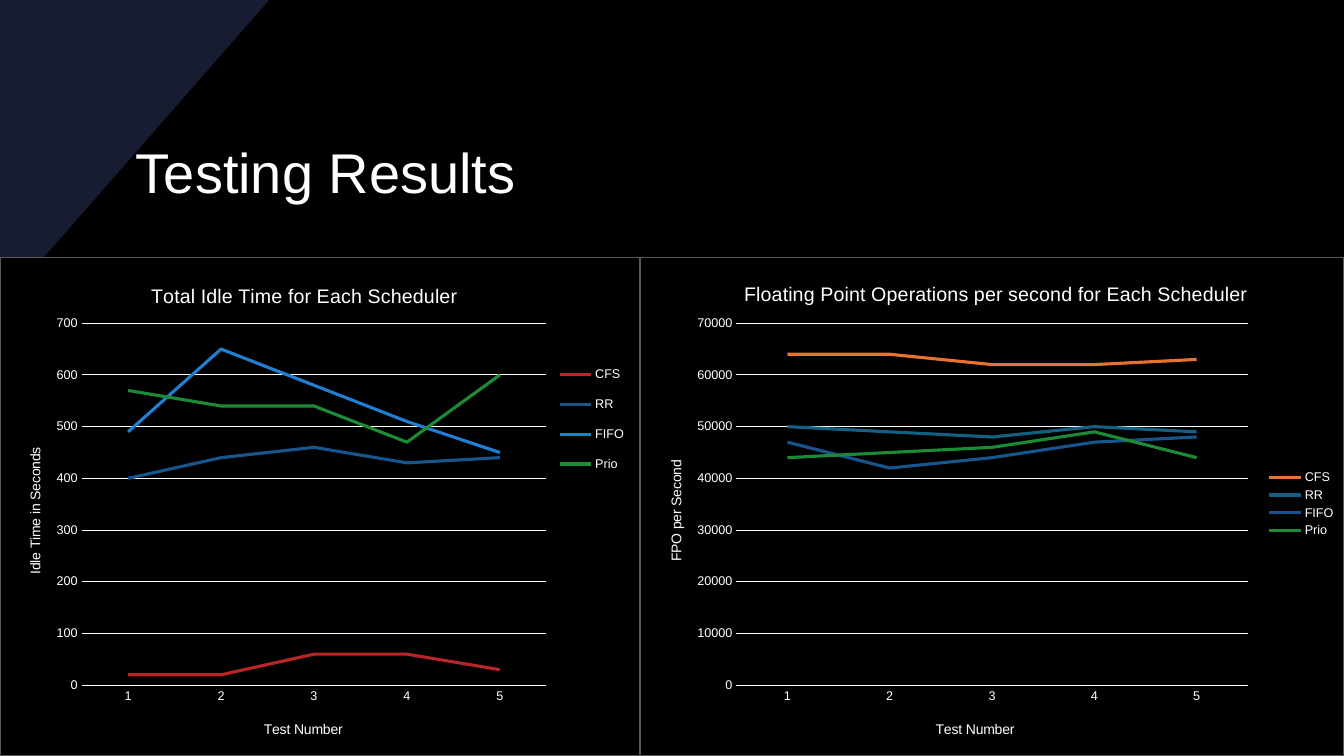
from lxml.etree import SubElement
from pptx import Presentation
from pptx.chart.data import CategoryChartData
from pptx.dml.color import RGBColor
from pptx.enum.chart import XL_CHART_TYPE, XL_LEGEND_POSITION, XL_TICK_MARK
from pptx.enum.text import MSO_ANCHOR
from pptx.oxml import parse_xml
from pptx.oxml.ns import nsdecls, qn
from pptx.util import Inches, Pt

WHITE, BLACK, NAVY, GREY = "FFFFFF", "000000", "181C30", "595959"
TESTS = ["1", "2", "3", "4", "5"]

IDLE_TIME = {
    "title": "Total Idle Time for Each Scheduler",
    "unit": "Idle Time in Seconds",
    "format": {"maximum_scale": 700, "minimum_scale": 0, "major_unit": 100},
    "series": [
        ("CFS", "B92525", (20, 20, 60, 60, 30)),
        ("RR", "18558C", (400, 440, 460, 430, 440)),
        ("FIFO", "217ED3", (490, 650, 580, 510, 450)),
        ("Prio", "1D8B35", (570, 540, 540, 470, 600)),
    ],
    "layout": {
        "plot": (0.127, 0.132, 0.727, 0.727),
        "legend": (0.86, 0.19, 0.13, 0.27),
        "title": (0.23, 0.045),
        "tests": (0.408, 0.925),
        "unit": (0.036, 0.376),
    },
}
FLOATING_POINT = {
    "title": "Floating Point Operations per second for Each Scheduler",
    "unit": "FPO per Second",
    "format": {"maximum_scale": 70000, "minimum_scale": 0, "major_unit": 10000},
    "series": [
        ("CFS", "E87331", (64000, 64000, 62000, 62000, 63000)),
        ("RR", "145F82", (50000, 49000, 48000, 50000, 49000)),
        ("FIFO", "18558C", (47000, 42000, 44000, 47000, 48000)),
        ("Prio", "1D8B35", (44000, 45000, 46000, 49000, 44000)),
    ],
    "layout": {
        "plot": (0.136, 0.132, 0.728, 0.727),
        "legend": (0.885, 0.42, 0.11, 0.15),
        "title": (0.142, 0.04),
        "tests": (0.416, 0.925),
        "unit": (0.034, 0.402),
    },
}


def color(hex_code):
    return RGBColor.from_string(hex_code)


def set_format(target, values):
    for name, value in values.items():
        setattr(target, name, value)


def set_font(font, size):
    set_format(font, {"name": "Arial", "size": Pt(size), "bold": False})
    font.color.rgb = color(WHITE)


def set_line(line, hex_code, width):
    line.color.rgb = color(hex_code)
    line.width = Pt(width)


def place_part(part, position, index):
    """Put a chart part at x, y (and width, height) as fractions of the chart."""
    for old in part.findall(qn("c:layout")):
        part.remove(old)
    layout = parse_xml(f"<c:layout {nsdecls('c')}/>")
    manual = SubElement(layout, qn("c:manualLayout"))
    if len(position) == 4 and index == 0:
        SubElement(manual, qn("c:layoutTarget"), val="inner")
    for mode in ("xMode", "yMode"):
        SubElement(manual, qn(f"c:{mode}"), val="edge")
    for name, value in zip("xywh", position):
        SubElement(manual, qn(f"c:{name}"), val=str(value))
    part.insert(index, layout)


def add_title(owner, text, size, position, rotation=0):
    """Title a chart or an axis."""
    title = owner.chart_title if hasattr(owner, "chart_title") else owner.axis_title
    frame = title.text_frame
    frame.text = text
    set_font(frame.paragraphs[0].runs[0].font, size)
    frame._txBody.bodyPr.set("rot", str(rotation * 60000))
    place_part(title._element, position, 1)


def add_scheduler_chart(slide, box, content):
    data = CategoryChartData(number_format="General")
    data.categories = TESTS
    for name, _, values in content["series"]:
        data.add_series(name, values)
    chart = slide.shapes.add_chart(
        XL_CHART_TYPE.LINE, *map(Inches, box), data).chart
    layout = content["layout"]
    set_font(chart.font, 10)
    set_format(chart, {"has_title": True, "has_legend": True})
    add_title(chart, content["title"], 14, layout["title"])

    tests, units = chart.category_axis, chart.value_axis
    for axis in (tests, units):
        set_format(axis, {"major_tick_mark": XL_TICK_MARK.NONE,
                          "minor_tick_mark": XL_TICK_MARK.NONE})
        set_font(axis.tick_labels.font, 9)
    add_title(tests, "Test Number", 10, layout["tests"])
    add_title(units, content["unit"], 10, layout["unit"], rotation=-90)
    set_line(tests.format.line, WHITE, 0.75)
    set_format(units, content["format"])
    units.format.line.fill.background()
    set_line(units.major_gridlines.format.line, WHITE, 0.75)

    set_format(chart.legend, {"position": XL_LEGEND_POSITION.RIGHT,
                              "include_in_layout": False})
    set_font(chart.legend.font, 9)
    place_part(chart.legend._element, layout["legend"], 1)

    chart.plots[0].vary_by_categories = False
    for series, (_, hex_code, _) in zip(chart.plots[0].series, content["series"]):
        series.smooth = False
        set_line(series.format.line, hex_code, 2.25)

    space = chart._chartSpace
    place_part(space.chart.plotArea, layout["plot"], 0)
    space.chart.addnext(parse_xml(
        f'<c:spPr {nsdecls("c", "a")}>'
        f'<a:solidFill><a:srgbClr val="{BLACK}"/></a:solidFill>'
        f'<a:ln w="{Pt(0.75)}"><a:solidFill><a:srgbClr val="{GREY}"/></a:solidFill></a:ln>'
        '</c:spPr>'))


def add_corner(slide, left, top, width, height):
    builder = slide.shapes.build_freeform(Inches(left), Inches(top))
    builder.add_line_segments([(Inches(left + width), Inches(top)),
                               (Inches(left), Inches(top + height))])
    corner = builder.convert_to_shape()
    corner.shadow.inherit = False
    corner.fill.solid()
    corner.fill.fore_color.rgb = color(NAVY)
    corner.line.fill.background()


def add_heading(slide, box, text):
    frame = slide.shapes.add_textbox(*map(Inches, box)).text_frame
    set_format(frame, {"word_wrap": True, "vertical_anchor": MSO_ANCHOR.MIDDLE})
    frame.text = text
    set_font(frame.paragraphs[0].runs[0].font, 40)


def add_results_slide(deck):
    slide = deck.slides.add_slide(deck.slide_layouts[6])
    slide.background.fill.solid()
    slide.background.fill.fore_color.rgb = color(BLACK)
    add_corner(slide, 0, 0, 2.67, 3.05)
    add_heading(slide, (1.25, 0.95, 10.83, 1.49), "Testing Results")
    add_scheduler_chart(slide, (0, 2.55, 6.35, 4.95), IDLE_TIME)
    add_scheduler_chart(slide, (6.35, 2.55, 6.98, 4.95), FLOATING_POINT)


def main():
    deck = Presentation()
    set_format(deck, {"slide_width": Inches(13.33), "slide_height": Inches(7.5)})
    add_results_slide(deck)
    deck.save("out.pptx")


if __name__ == "__main__":
    main()
